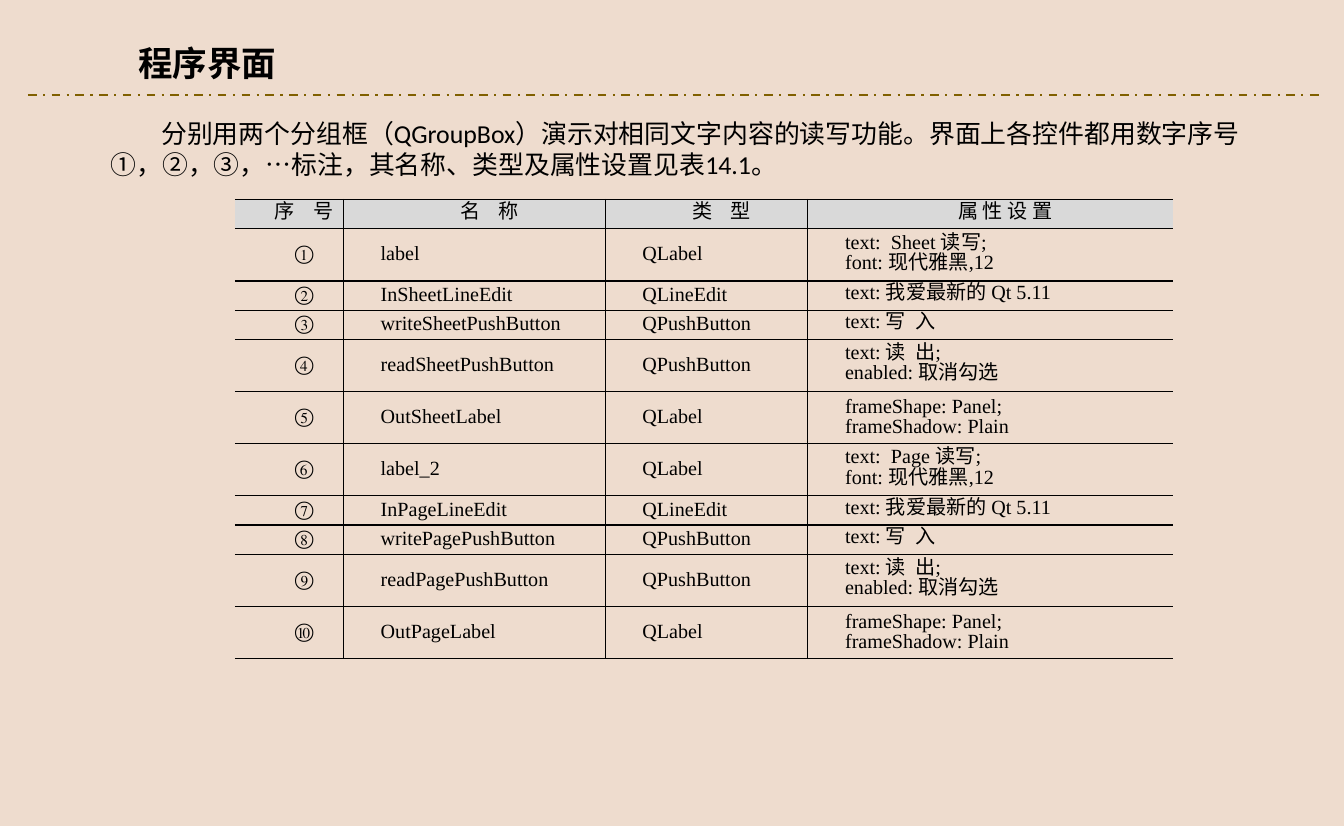
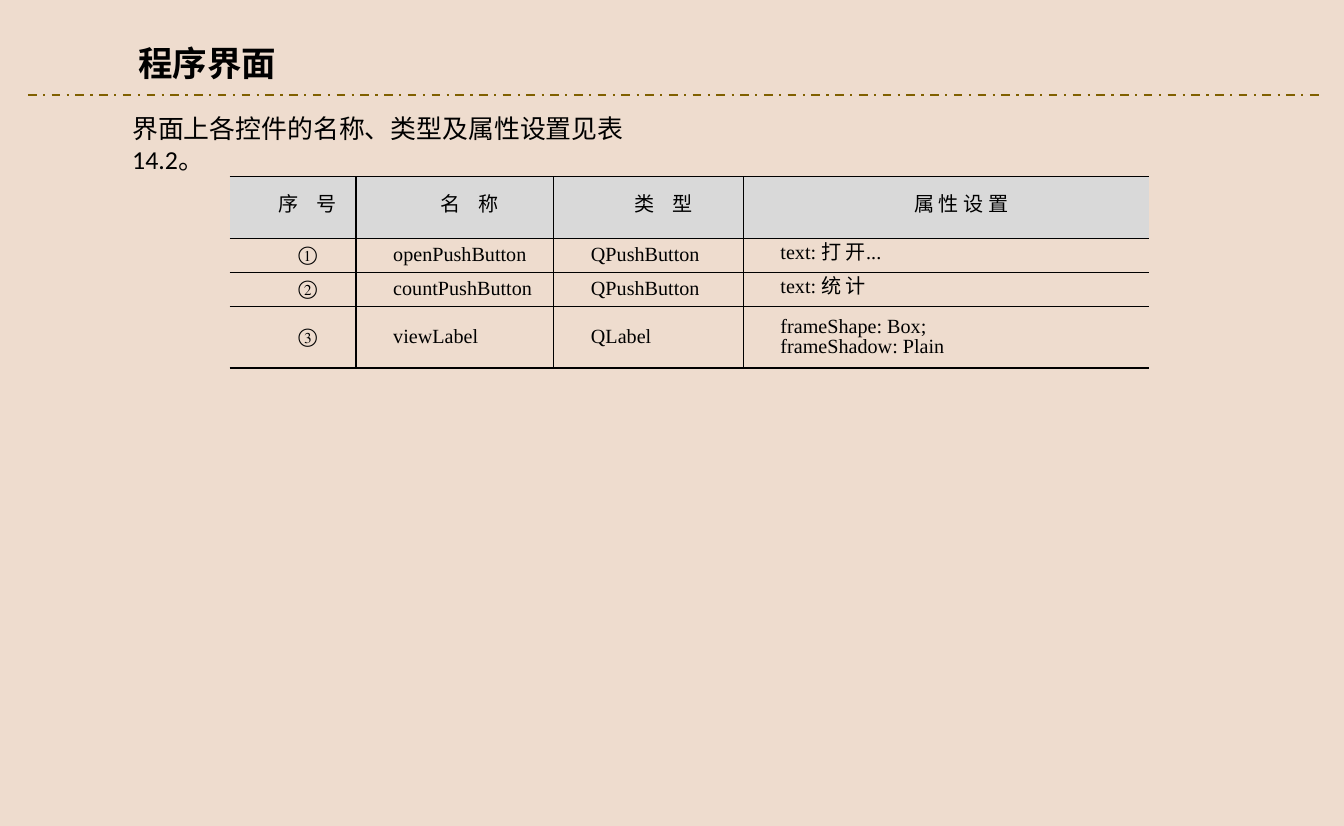
"""Build two slides that list the widgets of a program window."""
from dataclasses import dataclass

from lxml.etree import SubElement
from pptx import Presentation
from pptx.dml.color import RGBColor
from pptx.enum.dml import MSO_LINE
from pptx.enum.shapes import MSO_CONNECTOR
from pptx.enum.text import MSO_ANCHOR, MSO_AUTO_SIZE, PP_ALIGN
from pptx.oxml.ns import qn
from pptx.util import Inches, Pt


@dataclass(frozen=True)
class Theme:
    paper: str = "EEDCCE"
    ink: str = "000000"
    rule: str = "806000"
    head: str = "D9D9D9"
    sans: str = "Calibri"
    serif: str = "Times New Roman"
    title: int = 24
    body: int = 18
    cell: int = 14
    edge: int = 1


THEME = Theme()
HEADS = ("序    号", "名    称", "类    型", "属 性 设 置")
MARKS = "①②③④⑤⑥⑦⑧⑨⑩"


def write(frame, text, *, size, font=THEME.sans, bold=False, align=None,
          indent=0, lead=None):
    for num, line in enumerate(text.split("\n")):
        para = frame.add_paragraph() if num else frame.paragraphs[0]
        para.alignment = align
        para.line_spacing = lead
        props = para._p.get_or_add_pPr()
        props.set("marL", "0")
        props.set("indent", str(Inches(indent)))
        run = para.add_run()
        run.text = line
        run.font.name = font
        run.font.size = Pt(size)
        run.font.bold = bold
        run.font.color.rgb = RGBColor.from_string(THEME.ink)


def share(total, parts):
    return [Inches(total * part / sum(parts)) for part in parts]


class Deck:
    def __init__(self, theme):
        self.theme = theme
        self.prs = Presentation()
        self.prs.slide_width = Inches(935.5 / 72)
        self.prs.slide_height = Inches(575 / 72)
        self.slide = None

    def page(self, title):
        self.slide = self.prs.slides.add_slide(self.prs.slide_layouts[6])
        fill = self.slide.background.fill
        fill.solid()
        fill.fore_color.rgb = RGBColor.from_string(self.theme.paper)
        self.rule(0.27, 12.79, 0.92)
        self.text(title, 1.24, 0.36, 1.55, 0.5, wrap=False,
                  size=self.theme.title, bold=True)

    def rule(self, left, right, top):
        line = self.slide.shapes.add_connector(
            MSO_CONNECTOR.STRAIGHT, Inches(left), Inches(top),
            Inches(right), Inches(top))
        line.line.color.rgb = RGBColor.from_string(self.theme.rule)
        line.line.width = Pt(1.5)
        line.line.dash_style = MSO_LINE.DASH_DOT
        SubElement(line._element.spPr, qn("a:effectLst"))

    def text(self, text, left, top, width, height, wrap=True, inset=0.1,
             **style):
        box = self.slide.shapes.add_textbox(
            Inches(left), Inches(top), Inches(width), Inches(height))
        frame = box.text_frame
        frame.word_wrap = wrap
        frame.auto_size = MSO_AUTO_SIZE.SHAPE_TO_FIT_TEXT
        frame.margin_right = Inches(inset)
        write(frame, text, **style)

    def table(self, rows, left, top, width, height, cols, head, low, high):
        tall = [head] + [high if "\n" in row[-1] else low for row in rows]
        grid = self.slide.shapes.add_table(
            len(tall), len(cols), Inches(left), Inches(top),
            Inches(width), Inches(height)).table
        grid.first_row = grid.horz_banding = False
        for col, size in zip(grid.columns, share(width, cols)):
            col.width = size
        for row, size in zip(grid.rows, share(height, tall)):
            row.height = size
        last = len(cols) - 1
        for y, row in enumerate([HEADS, *rows]):
            for x, text in enumerate(row):
                cell = grid.cell(y, x)
                self.edges(cell, L=x > 0, R=x < last, T=True, B=True)
                self.fill(cell, y == 0)
                mid = y == 0 or x == 0
                write(cell.text_frame, text, size=self.theme.cell,
                      font=self.theme.serif, indent=0.29, lead=Pt(14),
                      align=PP_ALIGN.CENTER if mid else PP_ALIGN.JUSTIFY)

    def fill(self, cell, head):
        cell.vertical_anchor = MSO_ANCHOR.MIDDLE
        cell.margin_left = cell.margin_right = Inches(0.07)
        cell.margin_top = cell.margin_bottom = 0
        if head:
            cell.fill.solid()
            cell.fill.fore_color.rgb = RGBColor.from_string(self.theme.head)
        else:
            cell.fill.background()

    def edges(self, cell, **sides):
        props = cell._tc.get_or_add_tcPr()
        for side, shown in sides.items():
            line = SubElement(props, qn("a:ln" + side),
                              w=str(Pt(self.theme.edge)))
            if shown:
                paint = SubElement(line, qn("a:solidFill"))
                SubElement(paint, qn("a:srgbClr"), val=self.theme.ink)
            else:
                SubElement(line, qn("a:noFill"))


def group(label, kind):
    return [
        (label, "QLabel", f"text:  {kind} 读写;\nfont: 现代雅黑,12"),
        (f"In{kind}LineEdit", "QLineEdit", "text: 我爱最新的 Qt 5.11"),
        (f"write{kind}PushButton", "QPushButton", "text: 写  入"),
        (f"read{kind}PushButton", "QPushButton",
         "text: 读  出;\nenabled: 取消勾选"),
        (f"Out{kind}Label", "QLabel",
         "frameShape: Panel;\nframeShadow: Plain"),
    ]


def number(rows):
    return [(mark, *row) for mark, row in zip(MARKS, rows)]


def main():
    deck = Deck(THEME)

    deck.page("程序界面")
    deck.text("分别用两个分组框（QGroupBox）演示对相同文字内容的读写功能。"
              "界面上各控件都用数字序号①，②，③，…标注，"
              "其名称、类型及属性设置见表14.1。",
              0.97, 1.09, 11.17, 0.71, size=THEME.body, indent=0.49)
    deck.table(number(group("label", "Sheet") + group("label_2", "Page")),
               2.27, 1.93, 9.07, 4.44, cols=(1.05, 2.53, 1.96, 3.53),
               head=0.28, low=0.28, high=0.5)

    deck.page("程序界面")
    deck.text("界面上各控件的名称、类型及属性设置见表14.2。",
              1.18, 1.04, 5.7, 0.4, inset=0.7, size=THEME.body)
    deck.table(number([
        ("openPushButton", "QPushButton", "text: 打 开..."),
        ("countPushButton", "QPushButton", "text: 统 计"),
        ("viewLabel", "QLabel", "frameShape: Box;\nframeShadow: Plain"),
    ]), 2.22, 1.71, 8.89, 1.85, cols=(1.22, 1.91, 1.83, 3.92),
        head=0.59, low=0.33, high=0.59)

    deck.prs.save("out.pptx")


if __name__ == "__main__":
    main()
